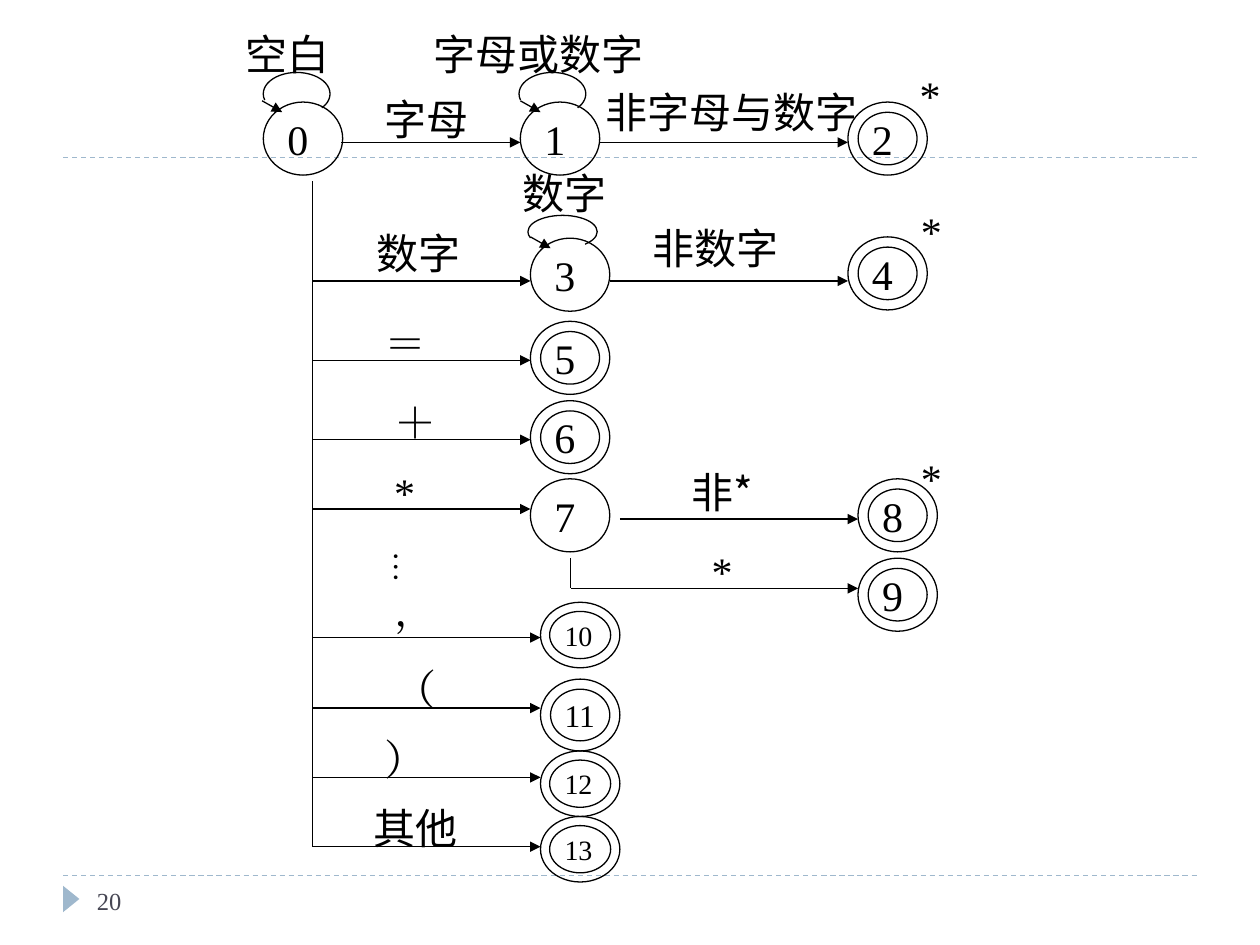
import pptx
import pptx.dml.color
import pptx.enum.dml
import pptx.enum.shapes
import pptx.enum.text
import pptx.oxml
import pptx.oxml.ns
import pptx.util

COLUMNS, ROWS = 100, 75
SHAPES = pptx.enum.shapes.MSO_SHAPE
ANCHORS = pptx.enum.text.MSO_ANCHOR
LATIN, CHINESE = "Times New Roman", "Noto Sans CJK SC"
BLACK, ACCENT, GREY = "000000", "9FB8CD", "464653"


def color(value):
    return pptx.dml.color.RGBColor.from_string(value)


def append_xml(parent, tag, attributes=""):
    namespace = pptx.oxml.ns.nsdecls("a")
    parent.append(pptx.oxml.parse_xml(f"<a:{tag} {namespace} {attributes}/>"))


class Diagram:
    """Draws on a slide in grid columns and rows."""

    def __init__(self, presentation):
        self.slide = presentation.slides.add_slide(presentation.slide_layouts[6])
        self.column = presentation.slide_width / COLUMNS
        self.row = presentation.slide_height / ROWS

    def place(self, *lengths):
        units = (self.column, self.row) * 2
        return [round(length * unit) for length, unit in zip(lengths, units)]

    def set_text(self, shape, text, font, size, ink=BLACK, anchor=ANCHORS.TOP):
        frame = shape.text_frame
        frame.word_wrap = True
        frame.vertical_anchor = anchor
        paragraph = frame.paragraphs[0]
        paragraph.alignment = pptx.enum.text.PP_ALIGN.LEFT
        run = paragraph.add_run()
        run.text = text
        run.font.name = font
        run.font.size = pptx.util.Pt(size)
        run.font.color.rgb = color(ink)
        append_xml(run.font._element, "ea", f'typeface="{font}"')
        return frame

    def label(self, text, left, top, width, height=5, font=LATIN, size=24, **style):
        box = self.slide.shapes.add_textbox(*self.place(left, top, width, height))
        return self.set_text(box, text, font, size, **style)

    def outline(self, kind, left, top, width, height):
        shape = self.slide.shapes.add_shape(kind, *self.place(left, top, width, height))
        shape.shadow.inherit = False
        shape.fill.background()
        shape.line.color.rgb = color(BLACK)
        shape.line.width = pptx.util.Pt(0.75)
        return shape

    def state(self, name, left, top, final=False, height=5.8, size=24):
        kind = SHAPES.DONUT if final else SHAPES.FLOWCHART_CONNECTOR
        shape = self.outline(kind, left, top, 6.3, height)
        if final:
            shape.adjustments[0] = 0.14
        frame = self.set_text(shape, name, LATIN, size, anchor=ANCHORS.MIDDLE)
        frame.margin_right = 0

    def line(self, x1, y1, x2, y2, arrow=False, ink=BLACK, dashed=False):
        straight = pptx.enum.shapes.MSO_CONNECTOR.STRAIGHT
        connector = self.slide.shapes.add_connector(straight, *self.place(x1, y1, x2, y2))
        connector.line.color.rgb = color(ink)
        connector.line.width = pptx.util.Pt(0.75)
        if dashed:
            connector.line.dash_style = pptx.enum.dml.MSO_LINE.DASH
        if arrow:
            append_xml(connector.line._get_or_add_ln(), "tailEnd", 'type="triangle"')
        append_xml(connector._element.spPr, "effectLst")

    def loop(self, left, top, width, height, tip):
        arc = self.outline(SHAPES.ARC, left, top, width, height)
        # Angles are stored in 60000ths of a degree, adjustments in 100000ths
        for index, degrees in enumerate((169, 29)):
            arc.adjustments[index] = degrees * 0.6
        x, y = tip
        self.line(x - 1.6, y - 0.9, x, y, arrow=True)

    def marker(self, left, top, width, height):
        shape = self.outline(SHAPES.ISOSCELES_TRIANGLE, left, top, width, height)
        shape.rotation = 90
        shape.fill.solid()
        shape.fill.fore_color.rgb = color(ACCENT)
        shape.line.fill.background()


def main():
    presentation = pptx.Presentation()
    presentation.slide_width = pptx.util.Inches(10)
    presentation.slide_height = pptx.util.Inches(7.5)
    diagram = Diagram(presentation)

    # Page frame and slide number
    for row in (12.5, 69.5):
        diagram.line(5, row, 95, row, ink=ACCENT, dashed=True)
    diagram.marker(4.6, 70.7, 2.1, 1.3)
    diagram.label("20", 6.7, 69.5, 21.7, 4, size=14, ink=GREY, anchor=ANCHORS.MIDDLE)

    # Intermediate states
    for name, left, top in (("0", 20.9, 8.1), ("1", 41.3, 8.1),
                            ("3", 42.1, 18.9), ("7", 42.1, 38)):
        diagram.state(name, left, top)

    # Final states
    for name, left, top in (("2", 67.3, 8.1), ("4", 67.3, 18.8), ("5", 42.1, 25.5),
                            ("6", 42.1, 31.8), ("8", 68.1, 38), ("9", 68.1, 44.3)):
        diagram.state(name, left, top, final=True)
    for name, top, height, size in (("10", 47.8, 5.2, 16), ("11", 53.9, 5.7, 18),
                                    ("12", 59.6, 5.2, 16), ("13", 64.8, 5.2, 16)):
        diagram.state(name, 42.9, top, True, height, size)

    # Trunk from state 0 and its branches
    trunk = 24.8
    diagram.line(trunk, 14.4, trunk, 67.2)
    branches = {42.1: (22.3, 28.6, 34.9, 40.4), 42.9: (50.6, 56.2, 61.7, 67.2)}
    for end, rows in branches.items():
        for row in rows:
            diagram.line(trunk, row, end, row, arrow=True)

    # Transitions between states
    for start, end, row in ((27.1, 41.3, 11.3), (47.6, 67.3, 11.3), (48.4, 67.3, 22.3),
                            (49.2, 68.1, 41.2), (45.3, 68.1, 46.7)):
        diagram.line(start, row, end, row, arrow=True)
    diagram.line(45.3, 44.3, 45.3, 46.7)

    # Self loops on states 0, 1 and 3
    diagram.loop(20.9, 5.75, 5.3, 3.4, (22.4, 8.9))
    diagram.loop(41.2, 5.75, 5.3, 3.4, (42.9, 8.9))
    diagram.loop(41.9, 17.1, 5.5, 2.6, (43.7, 19.7))

    # Chinese transition labels
    for text, left, top, width in (
            ("空白", 18.5, 1.8, 10.2), ("字母或数字", 33.4, 1.8, 21.5),
            ("字母", 29.5, 6.9, 10.2), ("非字母与数字", 47.1, 6.4, 23.9),
            ("数字", 40.5, 12.8, 10.2), ("数字", 28.9, 17.6, 10.2),
            ("非数字", 50.8, 17.2, 23.6), ("非*", 53.9, 36.5, 9.4),
            ("其他", 28.7, 63.2, 9.4)):
        diagram.label(text, left, top, width, font=CHINESE)

    # Symbol labels
    for text, left, top in (("＝", 29.5, 24.7), ("＋", 30.3, 31), ("，", 30.3, 45.9),
                            ("（", 30.3, 52.2), ("）", 29.5, 57.7)):
        diagram.label(text, left, top, 7.1, 4.3)

    # Asterisks: retraction marks and transitions on *
    for left, top in ((72, 5), (72.1, 15.8), (72.1, 35.4), (30.3, 36.5), (55.5, 42.8)):
        diagram.label("*", left, top, 4.7)

    # Vertical ellipsis
    frame = diagram.label("…", 29.2, 42.8, 5.1, 6.3, size=18)
    frame._txBody.bodyPr.set("vert", "eaVert")

    presentation.save("out.pptx")


if __name__ == "__main__":
    main()
